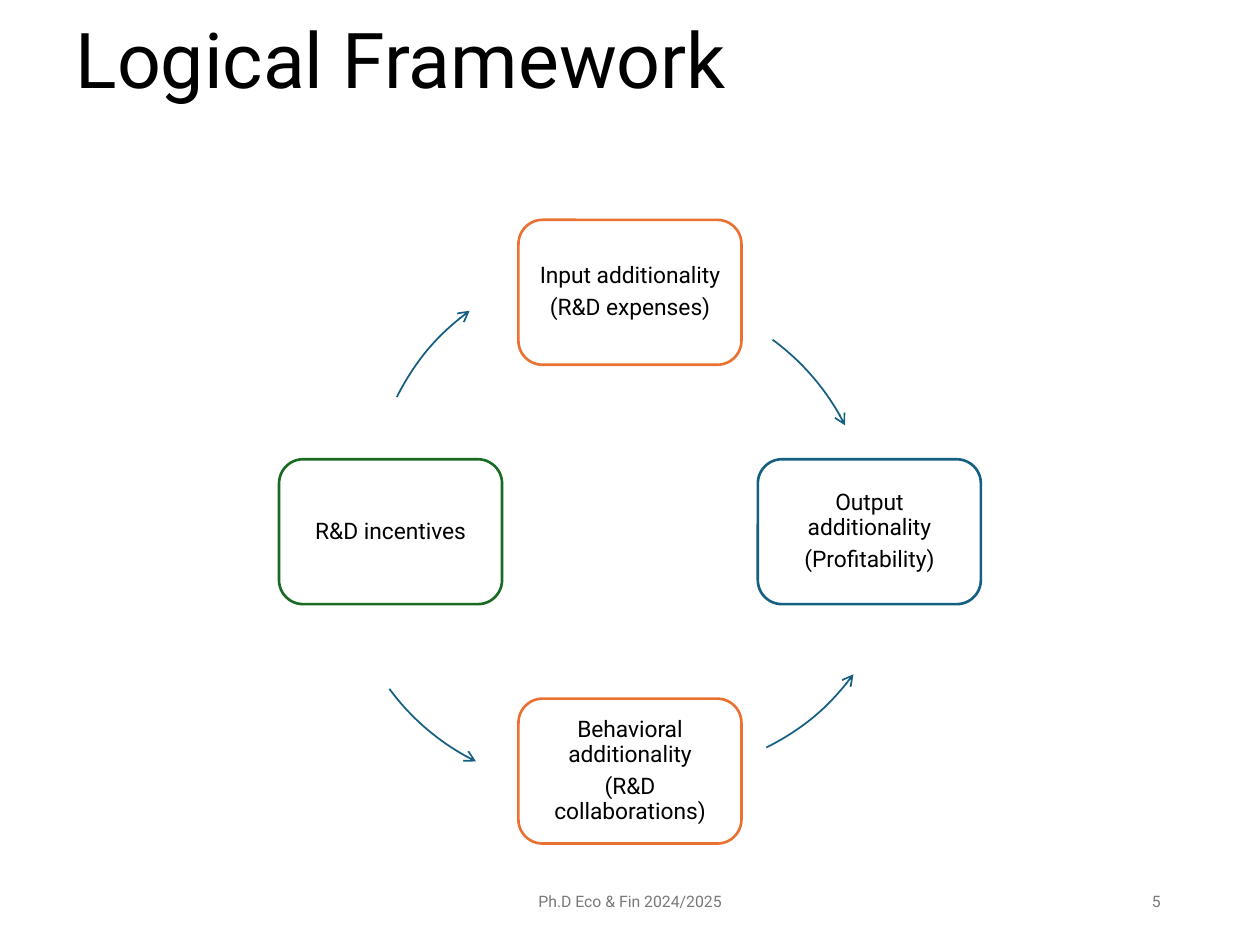
from pptx import Presentation
from pptx.dml.color import RGBColor
from pptx.enum.shapes import MSO_SHAPE
from pptx.enum.text import MSO_ANCHOR, MSO_AUTO_SIZE, PP_ALIGN
from pptx.oxml.ns import qn
from pptx.util import Inches, Pt
from lxml import etree

ROUNDED, ARC = MSO_SHAPE.ROUNDED_RECTANGLE, MSO_SHAPE.ARC
LEFT, CENTER, RIGHT = PP_ALIGN.LEFT, PP_ALIGN.CENTER, PP_ALIGN.RIGHT
MIDDLE, NO_AUTOFIT = MSO_ANCHOR.MIDDLE, MSO_AUTO_SIZE.NONE
FONT = "Roboto"
ORANGE, BLUE, GREEN = "E97132", "156082", "196B24"
BLACK, GRAY, WHITE = "000000", "797979", "FFFFFF"


def color(value):
    return RGBColor.from_string(value)


def write(shape, lines, size, text_color, align, paragraph_format, margin=0.1):
    frame = shape.text_frame
    frame_format = {
        "word_wrap": True,
        "auto_size": NO_AUTOFIT,
        "vertical_anchor": MIDDLE,
        "margin_left": Inches(margin),
        "margin_right": Inches(margin),
        "margin_top": Inches(0.05),
        "margin_bottom": Inches(0.05),
    }
    for name, value in frame_format.items():
        setattr(frame, name, value)
    frame.text = "\n".join(lines)
    for paragraph in frame.paragraphs:
        for name, value in {"alignment": align, **paragraph_format}.items():
            setattr(paragraph, name, value)
        font = paragraph.runs[0].font
        for name, value in {"name": FONT, "size": Pt(size), "bold": False}.items():
            setattr(font, name, value)
        font.color.rgb = color(text_color)


presentation = Presentation()
presentation.slide_width, presentation.slide_height = Inches(10), Inches(7.5)
slide = presentation.slides.add_slide(presentation.slide_layouts[5])
slide.background.fill.solid()
slide.background.fill.fore_color.rgb = color(WHITE)

title = slide.shapes.title
title_place = {"left": 0.5, "top": 0, "width": 9, "height": 1.01}
for name, value in title_place.items():
    setattr(title, name, Inches(value))
write(title, ["Logical Framework"], 44, BLACK, LEFT, {"line_spacing": 0.9})

cycle_x, cycle_y, radius = 5, 4.22, 1.9
box_width, box_height = 1.77, 1.15
boxes = [
    (0, -1, ORANGE, ["Input additionality", "(R&D expenses)"]),
    (1, 0, BLUE, ["Output additionality", "(Profitability)"]),
    (0, 1, ORANGE, ["Behavioral additionality", "(R&D collaborations)"]),
    (-1, 0, GREEN, ["R&D incentives"]),
]
for column, row, line_color, lines in boxes:
    box = slide.shapes.add_shape(
        ROUNDED,
        Inches(cycle_x + column * radius - box_width / 2),
        Inches(cycle_y + row * radius - box_height / 2),
        Inches(box_width),
        Inches(box_height),
    )
    box.shadow.inherit = False
    box.fill.solid()
    box.fill.fore_color.rgb = color(WHITE)
    box.line.color.rgb = color(line_color)
    box.line.width = Pt(1.5)
    spacing = {"line_spacing": 0.9, "space_after": Pt(4.55)}
    write(box, lines, 13, BLACK, CENTER, spacing, 0.05)

arrows = [
    (5.01, 4.23, 306.2, 333.3, "tailEnd"),
    (5.24, 4.23, 36.2, 63.7, "headEnd"),
    (4.62, 4.34, 116.3, 143.6, "headEnd"),
    (4.85, 4, 206.5, 233.8, "tailEnd"),
]
for center_x, center_y, start, end, arrow_end in arrows:
    arrow = slide.shapes.add_shape(
        ARC,
        Inches(center_x - radius),
        Inches(center_y - radius),
        Inches(2 * radius),
        Inches(2 * radius),
    )
    for index, degrees in enumerate((start, end)):
        arrow.adjustments[index] = degrees * 0.6
    arrow.shadow.inherit = False
    arrow.fill.background()
    arrow.line.color.rgb = color(BLUE)
    arrow.line.width = Pt(1)
    line = arrow.line._get_or_add_ln()
    etree.SubElement(line, qn(f"a:{arrow_end}"), type="arrow")

footers = [
    (3.31, 3.38, "Ph.D Eco & Fin 2024/2025", CENTER),
    (7.06, 2.25, "5", RIGHT),
]
for left, width, text, align in footers:
    footer = slide.shapes.add_textbox(
        Inches(left), Inches(6.95), Inches(width), Inches(0.4)
    )
    write(footer, [text], 9, GRAY, align, {})

presentation.save("out.pptx")
